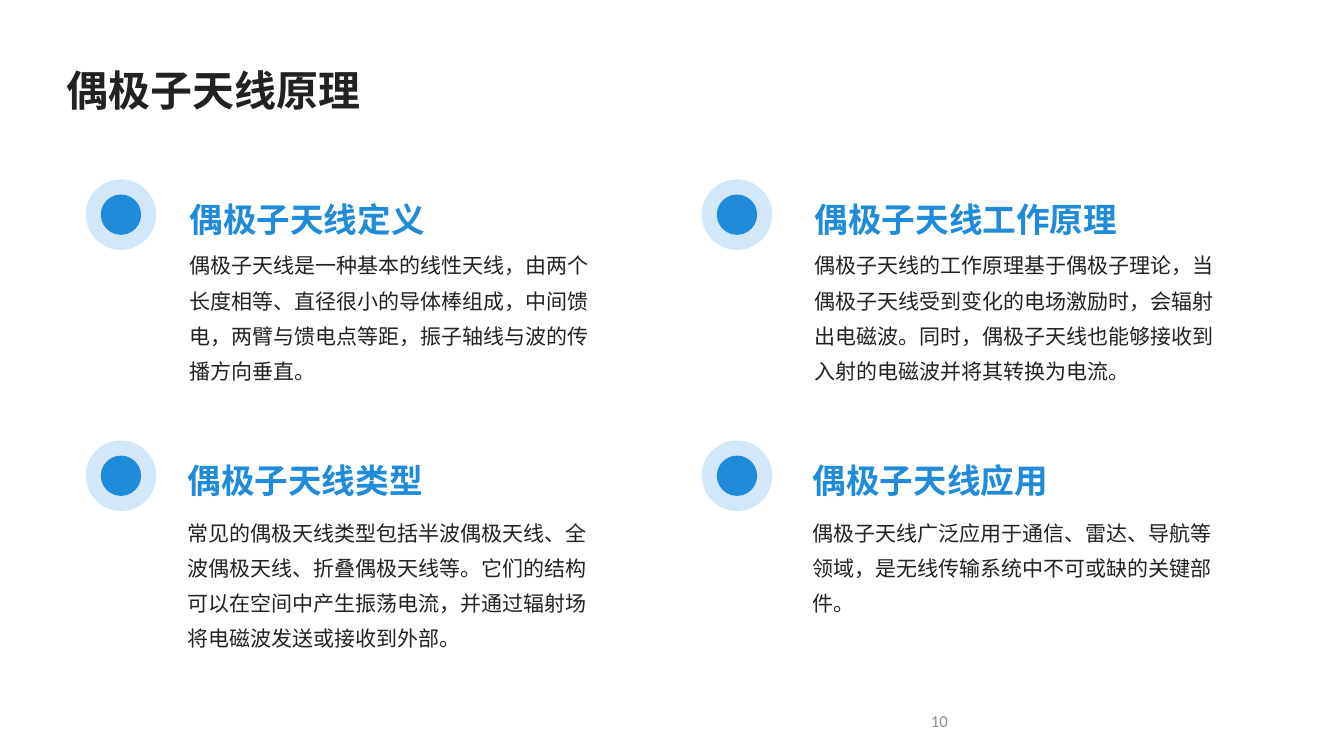
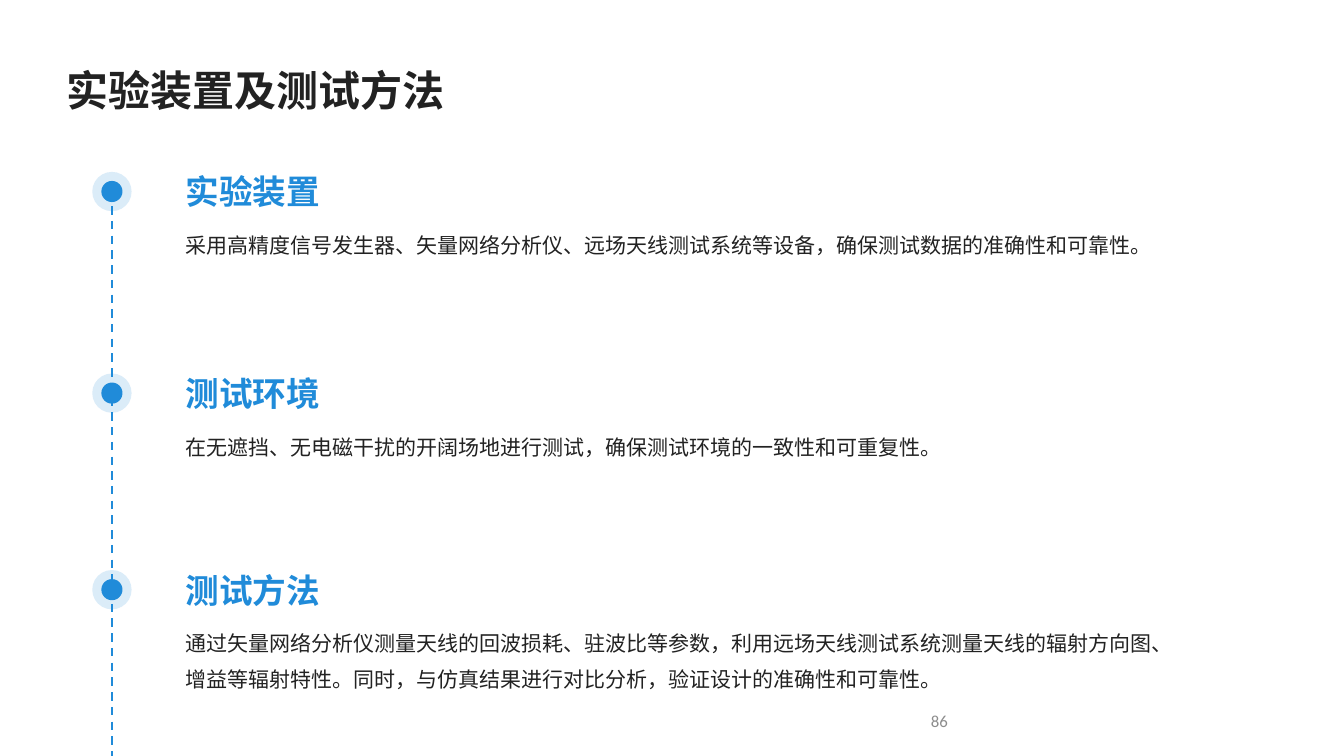
"""Build two slides on dipole antennas: a principle grid and a test timeline."""
from lxml import etree
from pptx import Presentation
from pptx.dml.color import RGBColor
from pptx.enum.dml import MSO_LINE
from pptx.enum.shapes import MSO_CONNECTOR, MSO_SHAPE
from pptx.enum.text import MSO_ANCHOR, PP_ALIGN
from pptx.oxml.ns import qn
from pptx.util import Inches, Pt

OVAL = MSO_SHAPE.OVAL
STRAIGHT = MSO_CONNECTOR.STRAIGHT
DASH = MSO_LINE.DASH
TOP, MIDDLE, BOTTOM = MSO_ANCHOR.TOP, MSO_ANCHOR.MIDDLE, MSO_ANCHOR.BOTTOM
LEFT, RIGHT = PP_ALIGN.LEFT, PP_ALIGN.RIGHT

COLORS = {"accent": "208BD9", "text": "222222", "number": "8D8D8D"}
CJK = "Noto Sans CJK SC"
PADDED = (0.14, 0.14, 0.06, 0.14)
FLUSH = (0, 0, 0, 0)
STANDARD = (0.1, 0.05, 0.1, 0.05)

STYLES = {
    "title": {"size": 30, "bold": True, "color": "text", "font": CJK,
              "spacing": 1.4, "anchor": MIDDLE, "align": LEFT},
    "heading": {"size": 24, "bold": True, "color": "accent", "font": CJK,
                "spacing": 1.2, "anchor": BOTTOM, "align": LEFT},
    "body": {"size": 15, "bold": False, "color": "text", "font": CJK,
             "spacing": 1.4, "anchor": TOP, "align": LEFT},
    "number": {"size": 12, "bold": False, "color": "number", "font": "Calibri",
               "spacing": 1.0, "anchor": MIDDLE, "align": RIGHT},
}

PRINCIPLES = [
    [("偶极子天线定义",
      "偶极子天线是一种基本的线性天线，由两个长度相等、直径很小的导体棒组成，中间馈电，两臂与馈电点等距，振子轴线与波的传播方向垂直。"),
     ("偶极子天线工作原理",
      "偶极子天线的工作原理基于偶极子理论，当偶极子天线受到变化的电场激励时，会辐射出电磁波。同时，偶极子天线也能够接收到入射的电磁波并将其转换为电流。")],
    [("偶极子天线类型",
      "常见的偶极天线类型包括半波偶极天线、全波偶极天线、折叠偶极天线等。它们的结构可以在空间中产生振荡电流，并通过辐射场将电磁波发送或接收到外部。"),
     ("偶极子天线应用",
      "偶极子天线广泛应用于通信、雷达、导航等领域，是无线传输系统中不可或缺的关键部件。")],
]
GRID_COLUMNS = [(1.2, 1.74), (7.31, 7.94)]
GRID_ROWS = [{"top": 1.75, "body": 2.27, "shift": 0},
             {"top": 4.34, "body": 4.92, "shift": -0.02}]

STEPS = [
    (1.49, "实验装置",
     "采用高精度信号发生器、矢量网络分析仪、远场天线测试系统等设备，确保测试数据的准确性和可靠性。"),
    (3.49, "测试环境",
     "在无遮挡、无电磁干扰的开阔场地进行测试，确保测试环境的一致性和可重复性。"),
    (5.44, "测试方法",
     "通过矢量网络分析仪测量天线的回波损耗、驻波比等参数，利用远场天线测试系统测量天线的辐射方向图、增益等辐射特性。同时，与仿真结果进行对比分析，验证设计的准确性和可靠性。"),
]
TIMELINE_X = 1.11
DOT_DROP = 0.41


def color(name):
    return RGBColor.from_string(COLORS[name])


def add_text(page, text, place, style_name, insets):
    style = STYLES[style_name]
    frame = page.shapes.add_textbox(*map(Inches, place)).text_frame
    frame.word_wrap = True
    frame.vertical_anchor = style["anchor"]
    for side, inset in zip(("left", "top", "right", "bottom"), insets):
        setattr(frame, f"margin_{side}", Inches(inset))
    para = frame.paragraphs[0]
    para.alignment = style["align"]
    para.line_spacing = style["spacing"]
    span = para.add_run()
    span.text = text
    font_values = {"size": Pt(style["size"]), "bold": style["bold"], "name": style["font"]}
    for attribute, value in font_values.items():
        setattr(span.font, attribute, value)
    span.font.color.rgb = color(style["color"])
    latin = span.font._element.find(qn("a:latin"))
    east_asian = etree.Element(qn("a:ea"), typeface=style["font"])
    latin.addnext(east_asian)


def add_circle(page, center_x, center_y, size, opacity=100):
    corner = (center_x - size / 2, center_y - size / 2)
    circle = page.shapes.add_shape(OVAL, *map(Inches, (*corner, size, size)))
    circle.shadow.inherit = False
    circle.line.fill.background()
    circle.fill.solid()
    circle.fill.fore_color.rgb = color("accent")
    if opacity < 100:
        fill = circle._element.spPr.find(qn("a:solidFill"))
        etree.SubElement(fill[0], qn("a:alpha"), val=str(opacity * 1000))


def add_marker(page, center_x, center_y, halo, dot, opacity):
    add_circle(page, center_x, center_y, halo, opacity)
    add_circle(page, center_x, center_y, dot)


def add_page(deck, title, number):
    page = deck.slides.add_slide(deck.slide_layouts[6])
    add_text(page, title, (0.52, 0.29, 12.29, 1), "title", PADDED)
    add_text(page, number, (7.17, 6.95, 2.33, 0.4), "number", STANDARD)
    return page


def build_principles(deck):
    page = add_page(deck, "偶极子天线原理", "10")
    for row, entries in zip(GRID_ROWS, PRINCIPLES):
        for (marker_x, text_x), (heading, body) in zip(GRID_COLUMNS, entries):
            left = text_x + row["shift"]
            add_marker(page, marker_x, row["top"] + 0.38, 0.7, 0.4, 20)
            add_text(page, heading, (left, row["top"], 4.27, 0.76), "heading", PADDED)
            add_text(page, body, (left, row["body"], 4.27, 1.68), "body", PADDED)


def build_timeline(deck):
    page = add_page(deck, "实验装置及测试方法", "86")
    for top, heading, body in STEPS:
        add_marker(page, TIMELINE_X, top + DOT_DROP, 0.39, 0.21, 16)
        add_text(page, heading, (1.84, top, 9.78, 0.61), "heading", FLUSH)
        add_text(page, body, (1.84, top + 0.72, 9.81, 0.84), "body", FLUSH)
    ends = (TIMELINE_X, STEPS[0][0] + DOT_DROP, TIMELINE_X, 7.5)
    line = page.shapes.add_connector(STRAIGHT, *map(Inches, ends))
    line.line.color.rgb = color("accent")
    line.line.width = Pt(1.5)
    line.line.dash_style = DASH
    etree.SubElement(line._element.spPr, qn("a:effectLst"))


def main():
    deck = Presentation()
    deck.slide_width, deck.slide_height = Inches(13.33), Inches(7.5)
    build_principles(deck)
    build_timeline(deck)
    deck.save("out.pptx")


if __name__ == "__main__":
    main()
